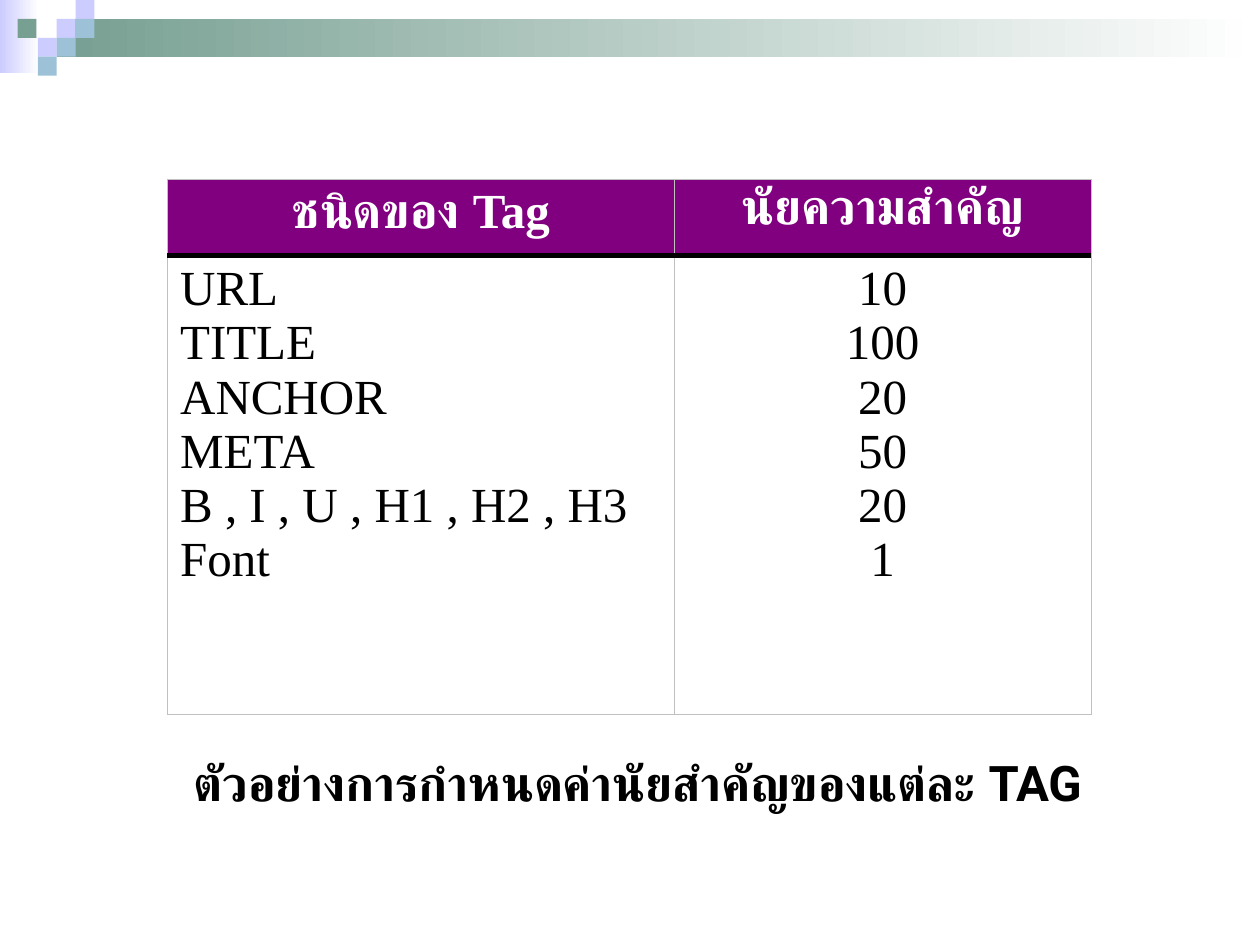
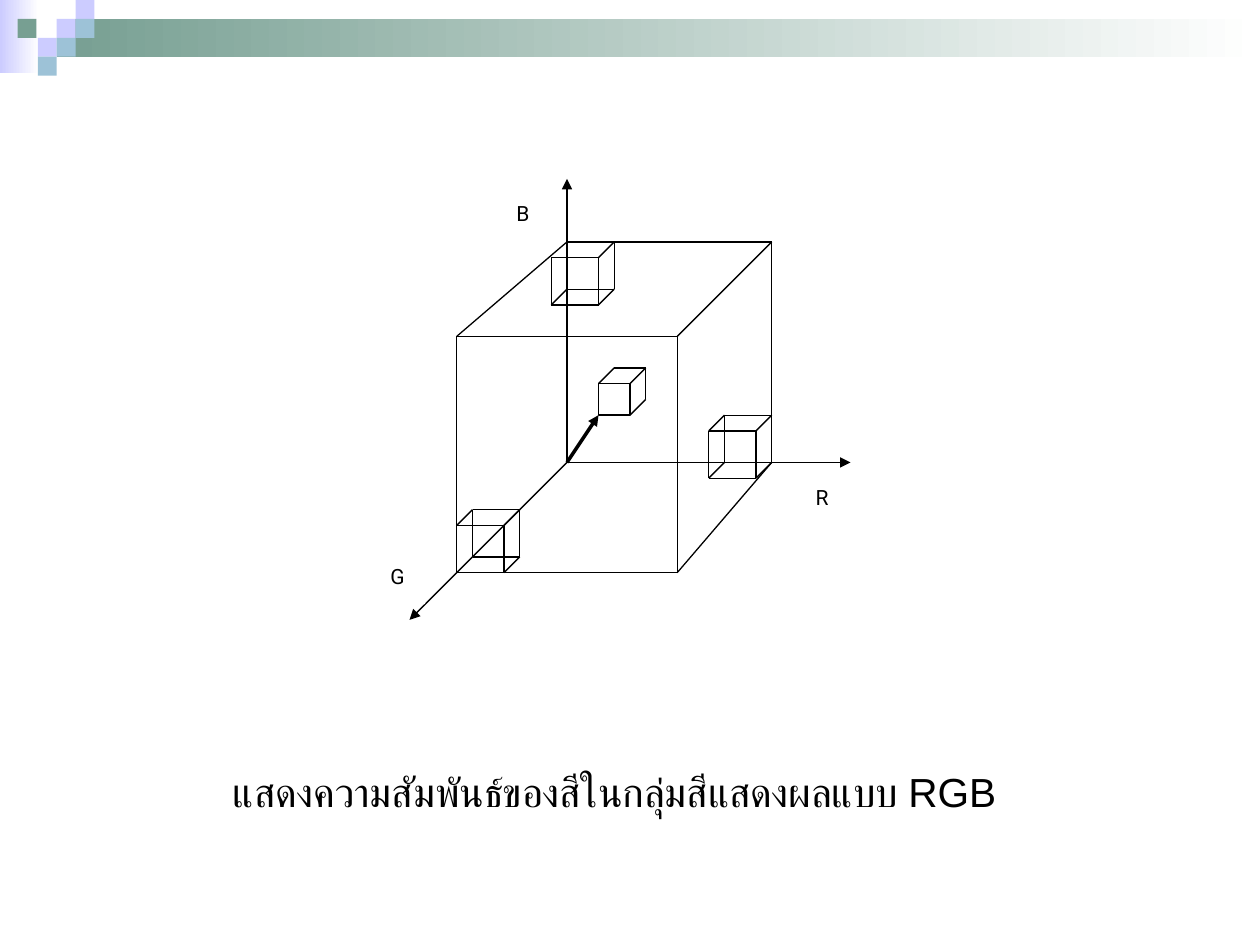
from dataclasses import dataclass

from lxml.etree import SubElement
from pptx import Presentation
from pptx.dml.color import RGBColor
from pptx.enum.shapes import MSO_CONNECTOR, MSO_SHAPE
from pptx.enum.text import MSO_ANCHOR, MSO_AUTO_SIZE, PP_ALIGN
from pptx.oxml.ns import qn
from pptx.util import Inches, Pt


@dataclass(frozen=True)
class Theme:
    white: str = "FFFFFF"
    black: str = "000000"
    lavender: str = "CCCCFF"
    green: str = "779F92"
    blue: str = "9DC2D7"
    purple: str = "800080"
    grey: str = "C0C0C0"
    heading_font: str = "Roboto"
    table_font: str = "Times New Roman"
    caption_font: str = "Arial"
    label_size: int = 12
    body_size: int = 28
    raised_size: int = 40
    thin: float = 0.75
    bold_line: float = 2


THEME = Theme()
TILE = 0.15
GRID = 1 / 8
ORIGIN = (4.5, 3.67)
EDGES = "ab bc cd da ef fg gh he ae bf cg dh".split()

HEADERS = ["ชนิดของ Tag", "นัยความสำคัญ"]
TAG_WEIGHTS = [
    ("URL", "10"),
    ("TITLE", "100"),
    ("ANCHOR", "20"),
    ("META", "50"),
    ("B , I , U , H1 , H2 , H3", "20"),
    ("Font", "1"),
]


def grid_point(column, row):
    return ORIGIN[0] + column * GRID, ORIGIN[1] + row * GRID


def grid_area(column, row, width, height):
    return *grid_point(column, row), width * GRID, height * GRID


def corners(column, row, width, height):
    right, bottom = column + width, row + height
    return [(column, row), (right, row), (right, bottom), (column, bottom)]


class SlideBuilder:
    def __init__(self, theme):
        self.theme = theme
        self.deck = Presentation()
        self.deck.slide_width = Inches(10)
        self.deck.slide_height = Inches(7.5)
        self.page = None

    def new_page(self):
        self.page = self.deck.slides.add_slide(self.deck.slide_layouts[6])
        self.header()

    def header(self):
        theme = self.theme
        self.rectangle((0, 0, 0.31, 0.58), theme.lavender, fade=True)
        self.rectangle((0.45, TILE, 9.55, 0.3), theme.green, fade=True)
        tiles = [
            (3, 1, theme.lavender), (4, 0, theme.lavender), (4, 1, theme.blue),
            (2, 2, theme.lavender), (0.93, 1, theme.green),
            (3, 2, theme.blue), (2, 3, theme.blue),
        ]
        for column, row, color in tiles:
            self.rectangle((column * TILE, row * TILE, TILE, TILE), color)

    def rectangle(self, area, color, fade=False, outline=None):
        box = self.page.shapes.add_shape(MSO_SHAPE.RECTANGLE, *map(Inches, area))
        box.shadow.inherit = False
        if fade:
            box.fill.gradient()
            box.fill.gradient_angle = 180
            for stop, shade in zip(box.fill.gradient_stops, (self.theme.white, color)):
                stop.color.rgb = RGBColor.from_string(shade)
        else:
            box.fill.solid()
            box.fill.fore_color.rgb = RGBColor.from_string(color)
        if outline:
            box.line.color.rgb = RGBColor.from_string(outline)
            box.line.width = Pt(self.theme.thin)
        else:
            box.line.fill.background()
        return box

    def add_lines(self, frame, lines, color, align=PP_ALIGN.LEFT, **font):
        for index, line in enumerate(lines):
            para = frame.add_paragraph() if index else frame.paragraphs[0]
            para.alignment = align
            span = para.add_run()
            span.text = line
            for name, value in font.items():
                setattr(span.font, name, value)
            span.font.color.rgb = RGBColor.from_string(color)

    def label(self, area, text):
        box = self.rectangle(area, self.theme.white)
        box.text_frame.vertical_anchor = MSO_ANCHOR.TOP
        self.add_lines(box.text_frame, [text], self.theme.black,
                       name=self.theme.heading_font, size=Pt(self.theme.label_size))

    def caption(self, area, text, raised=False, **font):
        box = self.page.shapes.add_textbox(*map(Inches, area))
        frame_format = {
            "word_wrap": False,
            "auto_size": MSO_AUTO_SIZE.SHAPE_TO_FIT_TEXT,
            "vertical_anchor": MSO_ANCHOR.MIDDLE,
        }
        for name, value in frame_format.items():
            setattr(box.text_frame, name, value)
        self.add_lines(box.text_frame, [text], self.theme.black, **font)
        if raised:
            span = box.text_frame.paragraphs[0].runs[0]
            span.font._element.set("baseline", "30000")

    def line(self, start, end, width=None, arrow=False):
        points = map(Inches, grid_point(*start) + grid_point(*end))
        connector = self.page.shapes.add_connector(MSO_CONNECTOR.STRAIGHT, *points)
        connector.line.color.rgb = RGBColor.from_string(self.theme.black)
        connector.line.width = Pt(width or self.theme.thin)
        if arrow:
            SubElement(connector.line._get_or_add_ln(), qn("a:tailEnd"), type="triangle")
        SubElement(connector._element.spPr, qn("a:effectLst"))

    def cube(self, front, back, hidden=""):
        points = dict(zip("abcdefgh", corners(*front) + corners(*back)))
        for start, end in (edge for edge in EDGES if edge not in hidden.split()):
            self.line(points[start], points[end])

    def small_cube(self, column, row, hidden=""):
        self.cube((column, row, 3, 3), (column + 1, row - 1, 3, 3), hidden)

    def cell_borders(self, cell, **borders):
        properties = cell._tc.get_or_add_tcPr()
        for side in "LRTB":
            color, width = borders.get(side, (self.theme.grey, 0.45))
            border = SubElement(properties, qn(f"a:ln{side}"), w=str(Pt(width)))
            fill = SubElement(border, qn("a:solidFill"))
            SubElement(fill, qn("a:srgbClr"), val=color)

    def table(self, area, widths, heights, headers, columns):
        theme = self.theme
        table = self.page.shapes.add_table(2, len(widths), *map(Inches, area)).table
        table.first_row = table.horz_banding = False
        for row, height in zip(table.rows, heights):
            row.height = Inches(height)
        rule = (theme.black, 3)
        font = {"name": theme.table_font, "size": Pt(theme.body_size)}
        aligns = (PP_ALIGN.LEFT, PP_ALIGN.CENTER)
        for index, width in enumerate(widths):
            table.columns[index].width = Inches(width)
            head, body = table.cell(0, index), table.cell(1, index)
            self.cell_borders(head, B=rule)
            self.cell_borders(body, T=rule, B=(theme.grey, 0.96))
            head.fill.solid()
            head.fill.fore_color.rgb = RGBColor.from_string(theme.purple)
            body.fill.background()
            self.add_lines(head.text_frame, [headers[index]], theme.white,
                           PP_ALIGN.CENTER, bold=True, **font)
            self.add_lines(body.text_frame, columns[index], theme.black,
                           aligns[index], bold=False, **font)


def tag_weight_page(builder):
    builder.new_page()
    builder.table((1.33, 1.42, 7.33, 4.25), (4.02, 3.31), (0.61, 3.64),
                  HEADERS, list(zip(*TAG_WEIGHTS)))
    builder.caption((1.44, 5.92, 7.44, 0.57), "ตัวอย่างการกำหนดค่านัยสำคัญของแต่ละ TAG",
                    name=THEME.heading_font, size=Pt(THEME.body_size), bold=True)


def color_cube_page(builder):
    builder.new_page()
    for axis_end in ((-10, 10), (0, -18), (18, 0)):
        builder.line((0, 0), axis_end, arrow=True)
    builder.cube((-7, -8, 14, 15), (0, -14, 13, 14), hidden="gh he dh")

    color_front = (2, -5, 2, 2)
    builder.rectangle(grid_area(*color_front), THEME.white, outline=THEME.black)
    builder.cube(color_front, (3, -6, 2, 2), hidden="ab bc cd da gh he dh")

    builder.small_cube(-7, 4, hidden="cd da dh")
    builder.small_cube(-1, -13, hidden="ae ef he")
    builder.small_cube(9, -2)

    for text, column, row in (("G", -12, 6), ("B", -4, -17), ("R", 15, 1)):
        builder.label(grid_area(column, row, 3, 3), text)
    builder.line((0, 0), (2, -3), width=THEME.bold_line, arrow=True)
    builder.caption((1.75, 5.97, 6.35, 0.77), "แสดงความสัมพันธ์ของสีในกลุ่มสีแสดงผลแบบ RGB",
                    raised=True, name=THEME.caption_font, size=Pt(THEME.raised_size))


def main():
    builder = SlideBuilder(THEME)
    tag_weight_page(builder)
    color_cube_page(builder)
    builder.deck.save("out.pptx")


if __name__ == "__main__":
    main()
